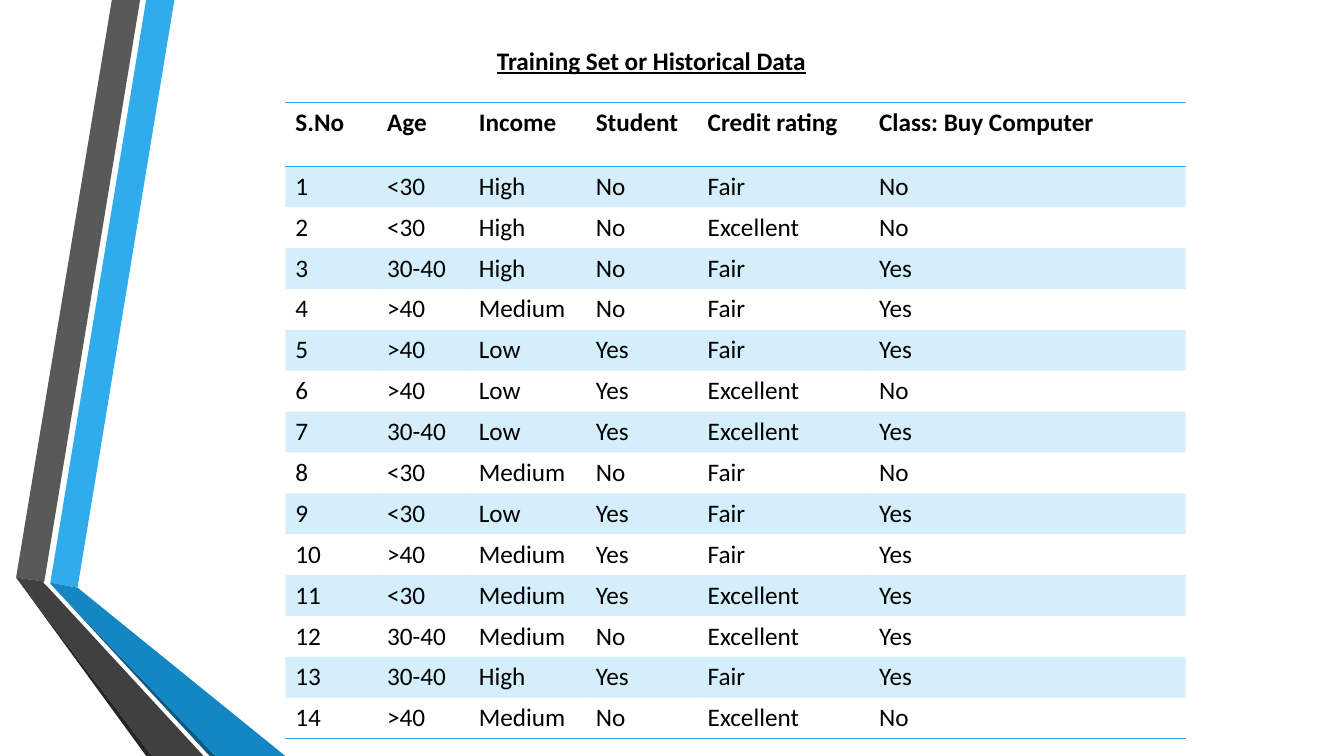
"""Build the training-set table slide with its angled ribbon decoration."""
import pptx
import pptx.dml.color
import pptx.oxml
import pptx.oxml.ns
import pptx.util

Inches, Pt = pptx.util.Inches, pptx.util.Pt

TITLE = "Training Set or Historical Data"
HEADER = ("S.No", "Age", "Income", "Student", "Credit rating", "Class: Buy Computer")
RECORDS = [
    ("<30", "High", "No", "Fair", "No"),
    ("<30", "High", "No", "Excellent", "No"),
    ("30-40", "High", "No", "Fair", "Yes"),
    (">40", "Medium", "No", "Fair", "Yes"),
    (">40", "Low", "Yes", "Fair", "Yes"),
    (">40", "Low", "Yes", "Excellent", "No"),
    ("30-40", "Low", "Yes", "Excellent", "Yes"),
    ("<30", "Medium", "No", "Fair", "No"),
    ("<30", "Low", "Yes", "Fair", "Yes"),
    (">40", "Medium", "Yes", "Fair", "Yes"),
    ("<30", "Medium", "Yes", "Excellent", "Yes"),
    ("30-40", "Medium", "No", "Excellent", "Yes"),
    ("30-40", "High", "Yes", "Fair", "Yes"),
    (">40", "Medium", "No", "Excellent", "No"),
]
COL_WIDTHS = (0.91, 0.91, 1.16, 1.11, 1.7, 3.14)
HEADER_HEIGHT, ROW_HEIGHT = 0.63, 0.36
BLUE, BLACK = "30ACEC", "000000"
NO_STYLE = "{2D5ABB26-0587-4C30-8999-92F81FD0307C}"
BAND_ALPHA = 20

# Ribbon outlines are in hundredths of an inch.
RIBBONS = [
    (BLUE, [(50, 578), (77, 583), (173, 0), (145, 0)]),
    ("595959", [(139, 0), (111, 0), (16, 573), (44, 577)]),
    ("262626", [(16, 573), (145, 750), (151, 750)]),
    ("0C5A82", [(50, 579), (208, 750), (214, 750)]),
    ("1287C3", [(50, 579), (214, 750), (283, 750), (77, 583), (50, 578)]),
    ("404040", [(202, 750), (48, 583), (43, 578), (44, 577), (16, 573), (151, 750)]),
]


def rgb(value):
    """Return a colour from a hex string."""
    return pptx.dml.color.RGBColor.from_string(value)


def format_text(tf, bold=False, underline=None):
    """Apply the slide's common font to every run."""
    for p in tf.paragraphs:
        for r in p.runs:
            r.font.name, r.font.size = "Calibri", Pt(18)
            r.font.bold, r.font.underline = bold, underline
            r.font.color.rgb = rgb(BLACK)


def add_ribbon(slide, color, points):
    """Draw one closed ribbon face."""
    builder = slide.shapes.build_freeform(*points[0], scale=Inches(0.01))
    builder.add_line_segments(points[1:], close=True)
    sp = builder.convert_to_shape()
    sp.shadow.inherit = False
    sp.fill.solid()
    sp.fill.fore_color.rgb = rgb(color)
    sp.line.fill.background()


def add_borders(cell, sides):
    """Add one-point blue borders on the given sides, ahead of the fill."""
    for i, side in enumerate(sides):
        cell._tc.get_or_add_tcPr().insert(i, pptx.oxml.parse_xml(
            f'<a:ln{side} {pptx.oxml.ns.nsdecls("a")} w="{Pt(1)}"><a:solidFill>'
            f'<a:srgbClr val="{BLUE}"/></a:solidFill></a:ln{side}>'))


def fill_band(cell):
    """Give a cell the translucent blue band."""
    cell.fill.solid()
    cell.fill.fore_color.rgb = rgb(BLUE)
    color = cell._tc.tcPr.find(".//" + pptx.oxml.ns.qn("a:srgbClr"))
    alpha = pptx.oxml.parse_xml(
        f'<a:alpha {pptx.oxml.ns.nsdecls("a")} val="{BAND_ALPHA * 1000}"/>')
    color.append(alpha)


def add_records(slide):
    """Build the table with a ruled header and alternate bands."""
    rows = [HEADER] + [(str(n), *record) for n, record in enumerate(RECORDS, 1)]
    height = HEADER_HEIGHT + ROW_HEIGHT * len(RECORDS)
    frame = slide.shapes.add_table(
        len(rows), len(HEADER), Inches(2.83), Inches(1.02),
        Inches(sum(COL_WIDTHS)), Inches(height))
    table = frame.table
    table.horz_banding = False
    table._tbl.tblPr[0].text = NO_STYLE
    for column, width in zip(table.columns, COL_WIDTHS):
        column.width = Inches(width)
    for i, values in enumerate(rows):
        table.rows[i].height = Inches(ROW_HEIGHT if i else HEADER_HEIGHT)
        for j, value in enumerate(values):
            cell = table.cell(i, j)
            cell.text_frame.text = value
            format_text(cell.text_frame, bold=i == 0)
            if i % 2:
                fill_band(cell)
            else:
                cell.fill.background()
            add_borders(cell, "TB" if i == 0 else "B" if i == len(RECORDS) else "")


prs = pptx.Presentation()
prs.slide_width, prs.slide_height = Inches(13.33), Inches(7.5)
slide = prs.slides.add_slide(prs.slide_layouts[6])
for color, points in RIBBONS:
    add_ribbon(slide, color, points)
add_records(slide)
title = slide.shapes.add_textbox(Inches(4.83), Inches(0.4), Inches(4.92), Inches(0.4))
title.text_frame.word_wrap = True
title.text_frame.text = TITLE
format_text(title.text_frame, bold=True, underline=True)
prs.save("out.pptx")
